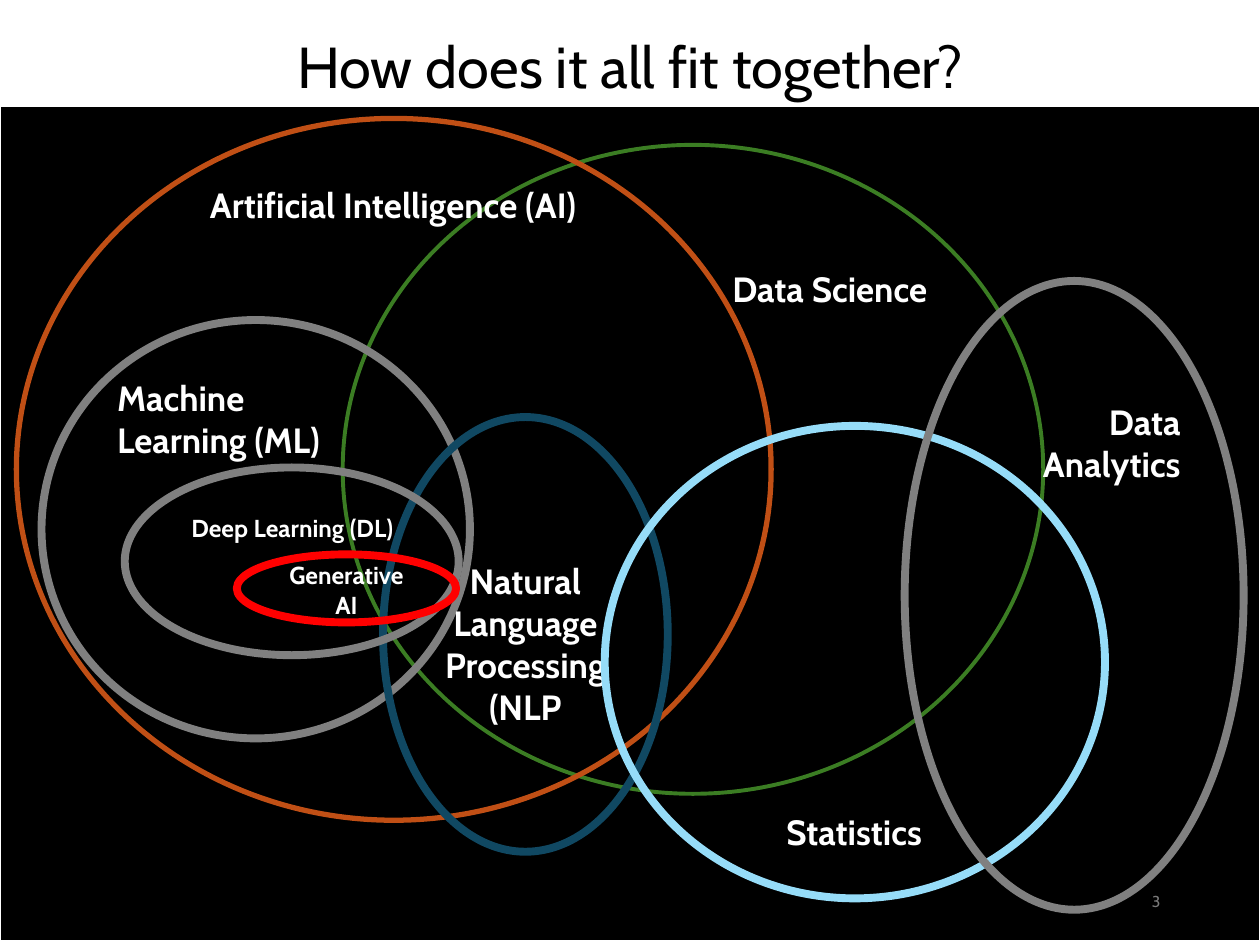
from typing import NamedTuple

from pptx import Presentation
from pptx.dml.color import RGBColor
from pptx.enum import shapes, text
from pptx.util import Inches, Pt

LEFT, MID, RIGHT = text.PP_ALIGN.LEFT, text.PP_ALIGN.CENTER, text.PP_ALIGN.RIGHT


class Box(NamedTuple):
    x: float
    y: float
    w: float
    h: float


class Label(NamedTuple):
    words: str
    box: Box
    size: float = 20
    align: text.PP_ALIGN = MID
    color: str = "FFFFFF"
    bold: bool = True
    space: float = 1.0


class Ring(NamedTuple):
    box: Box
    color: str
    label: Label
    width: float = 4.5


TITLE = Label("How does it all fit together?", Box(0.69, 0.05, 8.62, 1), 33,
              color="000000", bold=False, space=0.9)
PAGE = Label("3", Box(7.06, 6.95, 2.15, 0.4), 9, RIGHT, "797979", False)

RINGS = [
    Ring(Box(2.72, 1.15, 5.56, 5.15), "3B7D23",
         Label("Data Science", Box(5.36, 2.12, 2, 0.34), align=RIGHT), 2.25),
    Ring(Box(0.13, 0.94, 5.99, 5.57), "C04F15",
         Label("Artificial Intelligence (AI)", Box(1.42, 1.45, 3.4, 0.34)), 3),
    Ring(Box(0.33, 2.54, 3.4, 3.32), "808080",
         Label("Machine\nLearning (ML)", Box(0.93, 2.98, 2, 0.68), align=LEFT)),
    Ring(Box(3.04, 3.31, 2.26, 3.45), "104862",
         Label("Natural Language Processing (NLP", Box(3.45, 4.44, 1.44, 1.34))),
    Ring(Box(0.99, 3.71, 2.65, 1.49), "808080",
         Label("Deep Learning (DL)", Box(1.37, 4.07, 1.9, 0.24), 14)),
    Ring(Box(4.8, 3.38, 3.97, 3.75), "96DCF8",
         Label("Statistics", Box(5.78, 6.43, 2, 0.34))),
    Ring(Box(7.18, 2.23, 2.69, 4.99), "808080",
         Label("Data Analytics", Box(8.07, 3.17, 1.3, 0.68), align=RIGHT)),
    Ring(Box(1.88, 4.4, 1.74, 0.54), "FF0000",
         Label("Generative AI", Box(2.25, 4.44, 1, 0.48), 14)),
]


def paint(format, color: str) -> None:
    """Give a fill or a line's fill one solid colour."""
    format.solid()
    format.fore_color.rgb = RGBColor.from_string(color)


def put(target, values: dict) -> None:
    """Set attributes from a dict."""
    for name, value in values.items():
        setattr(target, name, value)


def place(box: Box) -> list:
    return [Inches(v) for v in box]


def add_label(slide, label: Label) -> None:
    frame = slide.shapes.add_textbox(*place(label.box)).text_frame
    put(frame, {"word_wrap": True, "vertical_anchor": text.MSO_ANCHOR.MIDDLE,
                "margin_left": 0, "margin_right": 0,
                "margin_top": 0, "margin_bottom": 0, "text": label.words})
    for para in frame.paragraphs:
        put(para, {"alignment": label.align, "line_spacing": label.space})
        for run in para.runs:
            put(run.font, {"name": "Cabin", "size": Pt(label.size), "bold": label.bold})
            paint(run.font.fill, label.color)


def add_shape(slide, kind, box: Box, line: str, width: float):
    shape = slide.shapes.add_shape(kind, *place(box))
    shape.shadow.inherit = False
    paint(shape.line.fill, line)
    shape.line.width = Pt(width)
    return shape


def add_ring(slide, ring: Ring) -> None:
    shape = add_shape(slide, shapes.MSO_SHAPE.OVAL, ring.box, ring.color, ring.width)
    shape.fill.background()
    add_label(slide, ring.label)


def main() -> None:
    deck = Presentation()
    put(deck, {"slide_width": Inches(10), "slide_height": Inches(7.5)})
    slide = deck.slides.add_slide(deck.slide_layouts[6])
    add_label(slide, TITLE)
    panel = add_shape(slide, shapes.MSO_SHAPE.RECTANGLE,
                      Box(0, 0.84, 10, 6.63), "FFFFFF", 1.5)
    paint(panel.fill, "000000")
    for ring in RINGS:
        add_ring(slide, ring)
    add_label(slide, PAGE)
    deck.save("out.pptx")


if __name__ == "__main__":
    main()
